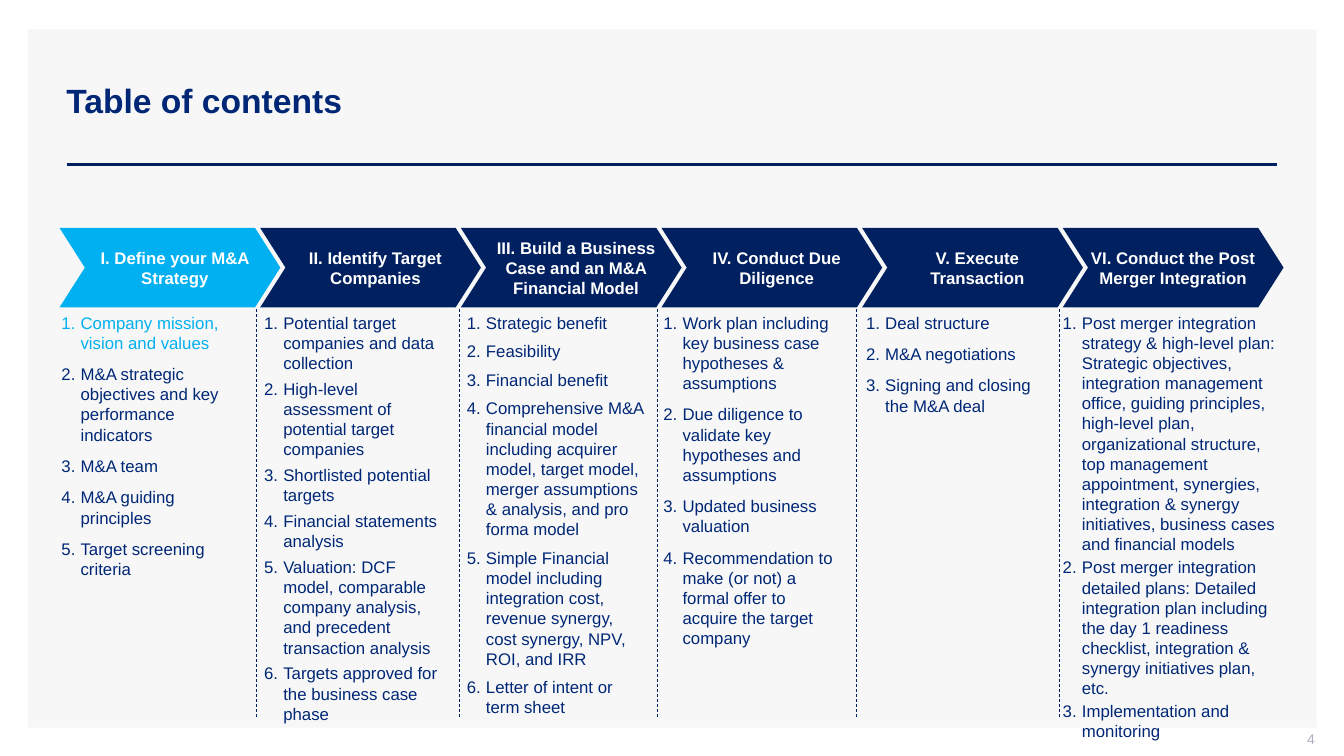
"""Build the table of contents slide for a six-step M&A process."""
from dataclasses import dataclass

from lxml.etree import SubElement
from pptx import Presentation
from pptx.dml.color import RGBColor
from pptx.enum.dml import MSO_LINE as Dash
from pptx.enum.shapes import MSO_CONNECTOR as Link, MSO_SHAPE as Kind
from pptx.enum.text import MSO_ANCHOR as Anchor, MSO_AUTO_SIZE as Fit, PP_ALIGN as Align
from pptx.oxml.ns import qn
from pptx.shapes.autoshape import Shape
from pptx.slide import Slide
from pptx.util import Inches, Pt

NAVY = RGBColor(0x00, 0x20, 0x60)
BLUE = RGBColor(0x00, 0x27, 0x76)
SKY = RGBColor(0x00, 0xB0, 0xF0)
PALE = RGBColor(0xF7, 0xF7, 0xF7)
GREY = RGBColor(0xAD, 0xAF, 0xBB)
WHITE = RGBColor(0xFF, 0xFF, 0xFF)

LEFT, STEP = 0.59, 1.99
HANG = Inches(0.19)


@dataclass
class Stage:
    head: str
    x: float
    gap: float
    items: list[str]
    width: float = 1.87
    fill: RGBColor = NAVY
    first: RGBColor = BLUE
    inset: float = 0.1


STAGES = [
    Stage("I. Define your M&A Strategy", 0.61, 4, [
        "Company mission, vision and values",
        "M&A strategic objectives and key performance indicators",
        "M&A team",
        "M&A guiding principles",
        "Target screening criteria",
    ], fill=SKY, first=SKY),
    Stage("II. Identify Target Companies", 2.62, 2, [
        "Potential target companies and data collection",
        "High-level assessment of potential target companies",
        "Shortlisted potential targets",
        "Financial statements analysis",
        "Valuation: DCF model, comparable company analysis, and precedent "
        "transaction analysis",
        "Targets approved for the business case phase",
    ]),
    Stage("III. Build a Business Case and an M&A Financial Model", 4.63, 3, [
        "Strategic benefit",
        "Feasibility",
        "Financial benefit",
        "Comprehensive M&A financial model including acquirer model, target "
        "model, merger assumptions & analysis, and pro forma model",
        "Simple Financial model including integration cost, revenue synergy, "
        "cost synergy, NPV, ROI, and IRR",
        "Letter of intent or term sheet",
    ]),
    Stage("IV. Conduct Due Diligence", 6.58, 4, [
        "Work plan including key business case hypotheses & assumptions",
        "Due diligence to validate key hypotheses and assumptions",
        "Updated business valuation",
        "Recommendation to make (or not) a formal offer to acquire the target "
        "company",
    ]),
    Stage("V. Execute Transaction", 8.59, 4, [
        "Deal structure",
        "M&A negotiations",
        "Signing and closing the M&A deal",
    ]),
    Stage("VI. Conduct the Post Merger Integration", 10.54, 1, [
        "Post merger integration strategy & high-level plan: Strategic "
        "objectives, integration management office, guiding principles, "
        "high-level plan, organizational structure, top management "
        "appointment, synergies, integration & synergy initiatives, business "
        "cases and financial models",
        "Post merger integration detailed plans: Detailed integration plan "
        "including the day 1 readiness checklist, integration & synergy "
        "initiatives plan, etc.",
        "Implementation and monitoring",
    ], width=2.32, inset=0),
]
SPLITS = [2.54, 4.56, 6.52, 8.49, 10.51]


def write(box: Shape, text: str, *, size: float = 12, color: RGBColor = BLUE,
          bold: bool = False, align: Align = Align.LEFT,
          anchor: Anchor = Anchor.MIDDLE, left: float = 0.1,
          right: float = 0.1, top: float = 0.05, gap: float = 0,
          number: bool = False) -> None:
    """Add one formatted paragraph to a box."""
    frame = box.text_frame
    frame.word_wrap = True
    frame.vertical_anchor = anchor
    frame.margin_left, frame.margin_right = Inches(left), Inches(right)
    frame.margin_top, frame.margin_bottom = Inches(top), Inches(0.05)
    start = not frame.text
    par = frame.paragraphs[0] if start else frame.add_paragraph()
    if number:
        props = par._p.get_or_add_pPr()
        props.set("marL", str(HANG))
        props.set("indent", str(-HANG))
        SubElement(props, qn("a:buFont"), typeface="+mj-lt")
        SubElement(props, qn("a:buAutoNum"), type="arabicPeriod")
    par.alignment = align
    par.space_before = Pt(0 if start else gap)
    par.space_after = Pt(gap)
    run = par.add_run()
    run.text = text
    run.font.name, run.font.size, run.font.bold = "Arial", Pt(size), bold
    run.font.color.rgb = color


def add_box(slide: Slide, x: float, y: float, w: float, h: float) -> Shape:
    """Add an empty text box."""
    return slide.shapes.add_textbox(Inches(x), Inches(y), Inches(w), Inches(h))


def add_shape(slide: Slide, kind: Kind, x: float, y: float, w: float,
              h: float, fill: RGBColor) -> Shape:
    """Add a flat filled shape without an outline."""
    shape = slide.shapes.add_shape(kind, Inches(x), Inches(y), Inches(w), Inches(h))
    shape.shadow.inherit = False
    shape.fill.solid()
    shape.fill.fore_color.rgb = fill
    shape.line.fill.background()
    return shape


def add_line(slide: Slide, x: float, y: float, to_x: float, to_y: float,
             width: float, dash: Dash = Dash.SOLID) -> None:
    """Add a straight navy line."""
    line = slide.shapes.add_connector(
        Link.STRAIGHT, Inches(x), Inches(y), Inches(to_x), Inches(to_y))
    line.line.color.rgb = NAVY
    line.line.width = Pt(width)
    line.line.dash_style = dash
    SubElement(line._element.spPr, qn("a:effectLst"))


def add_stage(slide: Slide, stage: Stage, x: float) -> None:
    """Add a chevron and the numbered list below it."""
    arrow = add_shape(slide, Kind.CHEVRON, x, 2.26, 2.19, 0.79, stage.fill)
    arrow.adjustments[0] = 0.318
    write(arrow, stage.head, color=WHITE, bold=True, align=Align.CENTER,
          left=stage.inset, right=0)
    box = add_box(slide, stage.x, 3.05, stage.width, 4.2)
    box.text_frame.auto_size = Fit.SHAPE_TO_FIT_TEXT
    for rank, item in enumerate(stage.items):
        write(box, item, color=BLUE if rank else stage.first, left=0,
              anchor=Anchor.TOP, gap=stage.gap, number=True)


def main() -> None:
    """Build and save the slide."""
    deck = Presentation()
    deck.slide_width, deck.slide_height = Inches(13.33), Inches(7.5)
    slide = deck.slides.add_slide(deck.slide_layouts[6])
    add_shape(slide, Kind.RECTANGLE, 0.28, 0.29, 12.78, 6.93, PALE)
    add_line(slide, 0.66, 1.63, 12.67, 1.63, 2)
    write(add_box(slide, 0.56, 0.4, 11.45, 1.19), "Table of contents",
          size=24, bold=True)
    write(add_box(slide, 10.04, 7.25, 3, 0.21), "4", size=10, color=GREY,
          align=Align.RIGHT, right=0, top=0)
    for rank, stage in enumerate(STAGES):
        add_stage(slide, stage, LEFT + rank * STEP)
    for x in SPLITS:
        add_line(slide, x, 3.07, x, 7.13, 0.5, Dash.DASH)
    deck.save("out.pptx")


if __name__ == "__main__":
    main()
